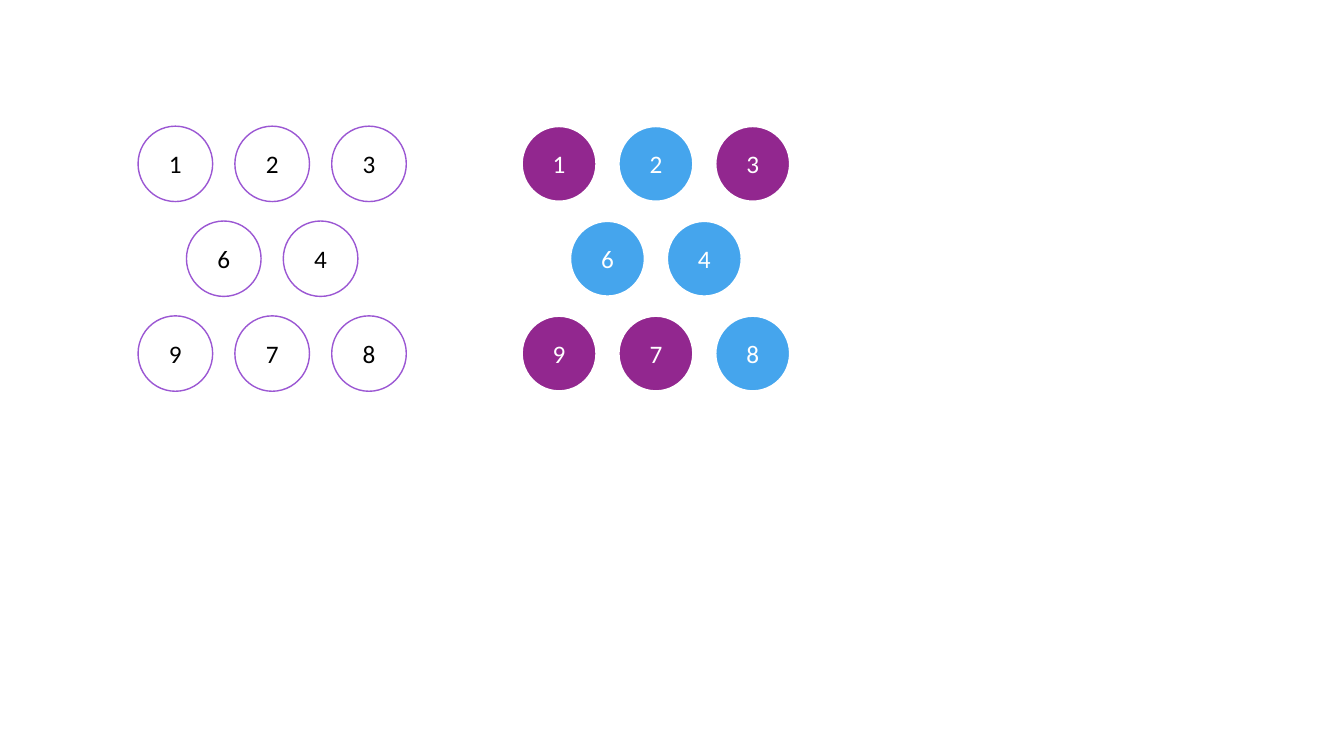
"""Build a slide with two groups of numbered circles, one outlined and one coloured."""
from pptx import Presentation
from pptx.dml.color import RGBColor
from pptx.enum.shapes import MSO_SHAPE
from pptx.enum.text import MSO_ANCHOR, PP_ALIGN
from pptx.util import Cm, Pt

ROWS = ["123", "64", "978"]
PURPLE, BLUE, WHITE = "92278F", "45A5ED", "FFFFFF"
PLAIN = dict.fromkeys("12346789", WHITE)
MIXED = {"1": PURPLE, "2": BLUE, "3": PURPLE, "6": BLUE, "4": BLUE,
         "9": PURPLE, "7": PURPLE, "8": BLUE}
GROUPS = [
    {"left": 3.48, "fills": PLAIN, "line": "9B57D3", "weight": 1, "ink": "000000"},
    {"left": 13.15, "fills": MIXED, "line": WHITE, "weight": 1.5, "ink": WHITE},
]
TOP, WIDE, HIGH = 3.18, 1.88, 1.9
STEP, DROP = 2.44, 2.39


def tint(color, code):
    color.rgb = RGBColor.from_string(code)


def circle(slide, left, top, digit, group):
    ball = slide.shapes.add_shape(
        MSO_SHAPE.OVAL, Cm(left), Cm(top), Cm(WIDE), Cm(HIGH))
    ball.shadow.inherit = False
    ball.fill.solid()
    tint(ball.fill.fore_color, group["fills"][digit])
    tint(ball.line.color, group["line"])
    ball.line.width = Pt(group["weight"])
    frame = ball.text_frame
    frame.vertical_anchor = MSO_ANCHOR.MIDDLE
    label = frame.paragraphs[0]
    label.text = digit
    label.alignment = PP_ALIGN.CENTER
    label.font.name = "Calibri"
    label.font.size = Pt(18)
    tint(label.font.color, group["ink"])


deck = Presentation()
deck.slide_width, deck.slide_height = Cm(33.87), Cm(19.05)
slide = deck.slides.add_slide(deck.slide_layouts[6])
most = max(map(len, ROWS))
for group in GROUPS:
    for row, digits in enumerate(ROWS):
        inset = (most - len(digits)) * STEP / 2
        for col, digit in enumerate(digits):
            circle(slide, group["left"] + inset + col * STEP,
                   TOP + row * DROP, digit, group)
deck.save("out.pptx")
